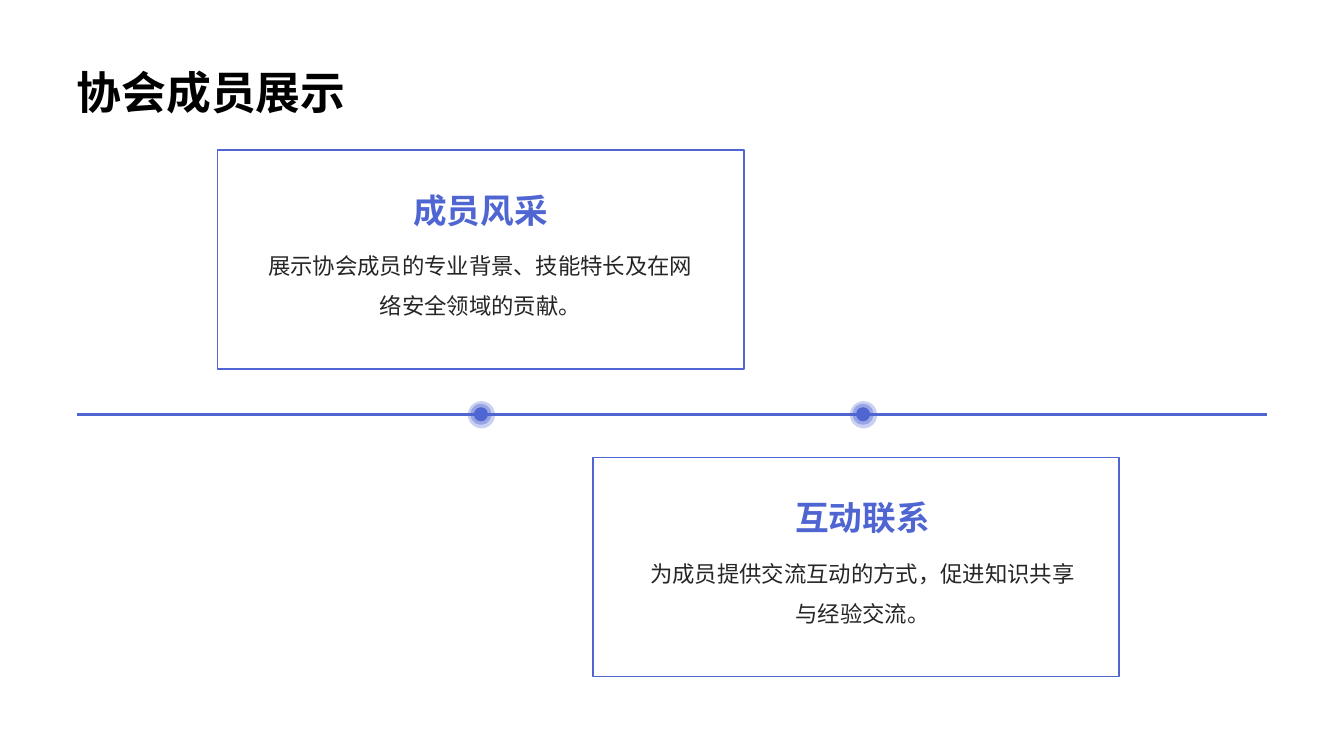
from lxml import etree
from pptx import Presentation
from pptx.dml.color import RGBColor
from pptx.enum.shapes import MSO_CONNECTOR, MSO_SHAPE
from pptx.enum.text import MSO_ANCHOR, MSO_AUTO_SIZE, PP_ALIGN
from pptx.oxml.ns import qn
from pptx.util import Emu, Pt

STRAIGHT = MSO_CONNECTOR.STRAIGHT
RECTANGLE, OVAL = MSO_SHAPE.RECTANGLE, MSO_SHAPE.OVAL
TOP, BOTTOM = MSO_ANCHOR.TOP, MSO_ANCHOR.BOTTOM
LEFT, CENTER = PP_ALIGN.LEFT, PP_ALIGN.CENTER
NO_AUTOFIT = MSO_AUTO_SIZE.NONE

COLORS = {"accent": "4F65D2", "body": "262626", "title": "000000"}
TITLE_FONT, CHINESE_FONT = "Karla", "Noto Sans CJK SC"
EMU_PER_PX = 9144
AXIS_Y = 411
CARD_WIDTH, CARD_HEIGHT = 522, 217
TEXT_WIDTH = 439
CARDS = [
    (216, 149, 257, 477, "成员风采", "展示协会成员的专业背景、技能特长及在网络安全领域的贡献。"),
    (588, 454, 636, 856, "互动联系", "为成员提供交流互动的方式，促进知识共享与经验交流。"),
]


def px(value):
    return Emu(value * EMU_PER_PX)


def color(name):
    return RGBColor.from_string(COLORS[name])


def set_opacity(fill_element, percent):
    target = fill_element.find(".//" + qn("a:srgbClr"))
    etree.SubElement(target, qn("a:alpha"), val=str(percent * 1000))


def write_text(shape, text, size, color_name, font, bold, align, anchor, spacing=None):
    frame = shape.text_frame
    frame.text = text
    frame.word_wrap = True
    frame.auto_size = NO_AUTOFIT
    frame.vertical_anchor = anchor
    frame.margin_left = frame.margin_right = frame.margin_top = frame.margin_bottom = 0
    paragraph = frame.paragraphs[0]
    paragraph.alignment = align
    paragraph.line_spacing = spacing
    run = paragraph.runs[0]
    run.font.size = Pt(size)
    run.font.bold = bold
    run.font.name = font
    run.font.color.rgb = color(color_name)
    latin = run.font._element.find(qn("a:latin"))
    east_asian = etree.Element(qn("a:ea"), typeface=CHINESE_FONT)
    latin.addnext(east_asian)


def place_title(slide, text):
    title = slide.shapes.title
    title.left, title.top, title.width, title.height = px(76), px(39), px(1181), px(79)
    write_text(title, text, 32, "title", TITLE_FONT, True, LEFT, BOTTOM)


def add_text(slide, left, top, height, *style):
    box = slide.shapes.add_textbox(px(left), px(top), px(TEXT_WIDTH), px(height))
    write_text(box, *style)


def add_circle(slide, center_x, diameter):
    radius = diameter // 2
    circle = slide.shapes.add_shape(
        OVAL, px(center_x - radius), px(AXIS_Y - radius), px(diameter), px(diameter)
    )
    circle.shadow.inherit = False
    circle.fill.solid()
    circle.fill.fore_color.rgb = color("accent")
    return circle


def add_marker(slide, center_x):
    halo = add_circle(slide, center_x, 27)
    halo.line.fill.background()
    set_opacity(halo._element.spPr.find(qn("a:solidFill")), 30)
    dot = add_circle(slide, center_x, 14)
    dot.line.color.rgb = color("accent")
    dot.line.width = Pt(5)
    set_opacity(dot._element.spPr.find(qn("a:ln")), 40)


def add_axis(slide):
    axis = slide.shapes.add_connector(STRAIGHT, px(76), px(AXIS_Y), px(1257), px(AXIS_Y))
    axis.line.color.rgb = color("accent")
    axis.line.width = Pt(2)
    etree.SubElement(axis._element.spPr, qn("a:effectLst"))


def add_card(slide, left, top, text_left, heading, body):
    frame = slide.shapes.add_shape(
        RECTANGLE, px(left), px(top), px(CARD_WIDTH), px(CARD_HEIGHT)
    )
    frame.shadow.inherit = False
    frame.fill.background()
    frame.line.color.rgb = color("accent")
    frame.line.width = Pt(1)
    add_text(slide, text_left, top + 88, 132,
             body, 16, "body", CHINESE_FONT, False, CENTER, TOP, 1.5)
    add_text(slide, text_left, top + 3, 76,
             heading, 24, "accent", CHINESE_FONT, True, CENTER, BOTTOM)


def main():
    presentation = Presentation()
    presentation.slide_width, presentation.slide_height = px(1333), px(750)
    slide = presentation.slides.add_slide(presentation.slide_layouts[5])
    place_title(slide, "协会成员展示")
    for left, top, text_left, marker_x, heading, body in CARDS:
        add_marker(slide, marker_x)
        add_card(slide, left, top, text_left, heading, body)
    add_axis(slide)
    presentation.save("out.pptx")


if __name__ == "__main__":
    main()
